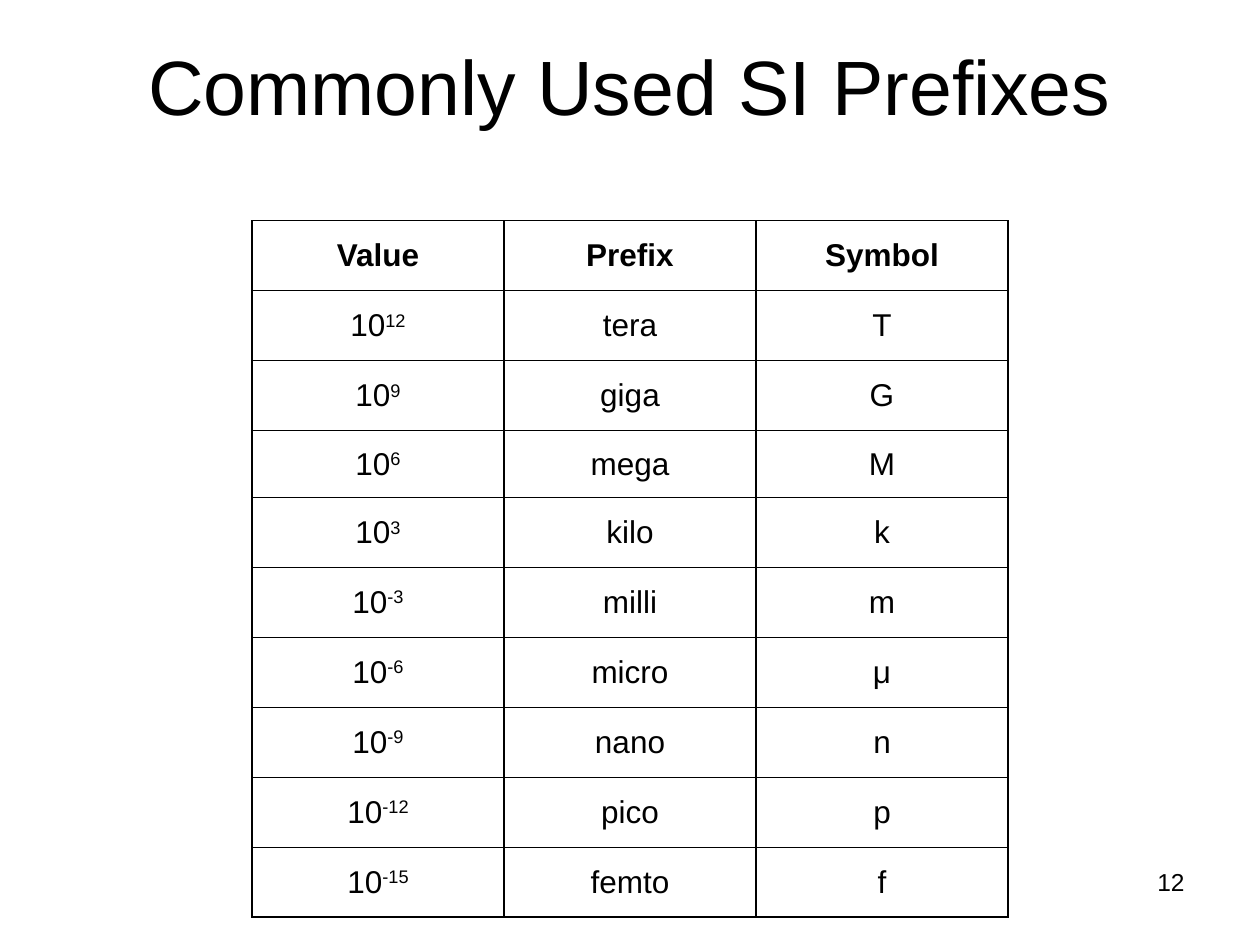
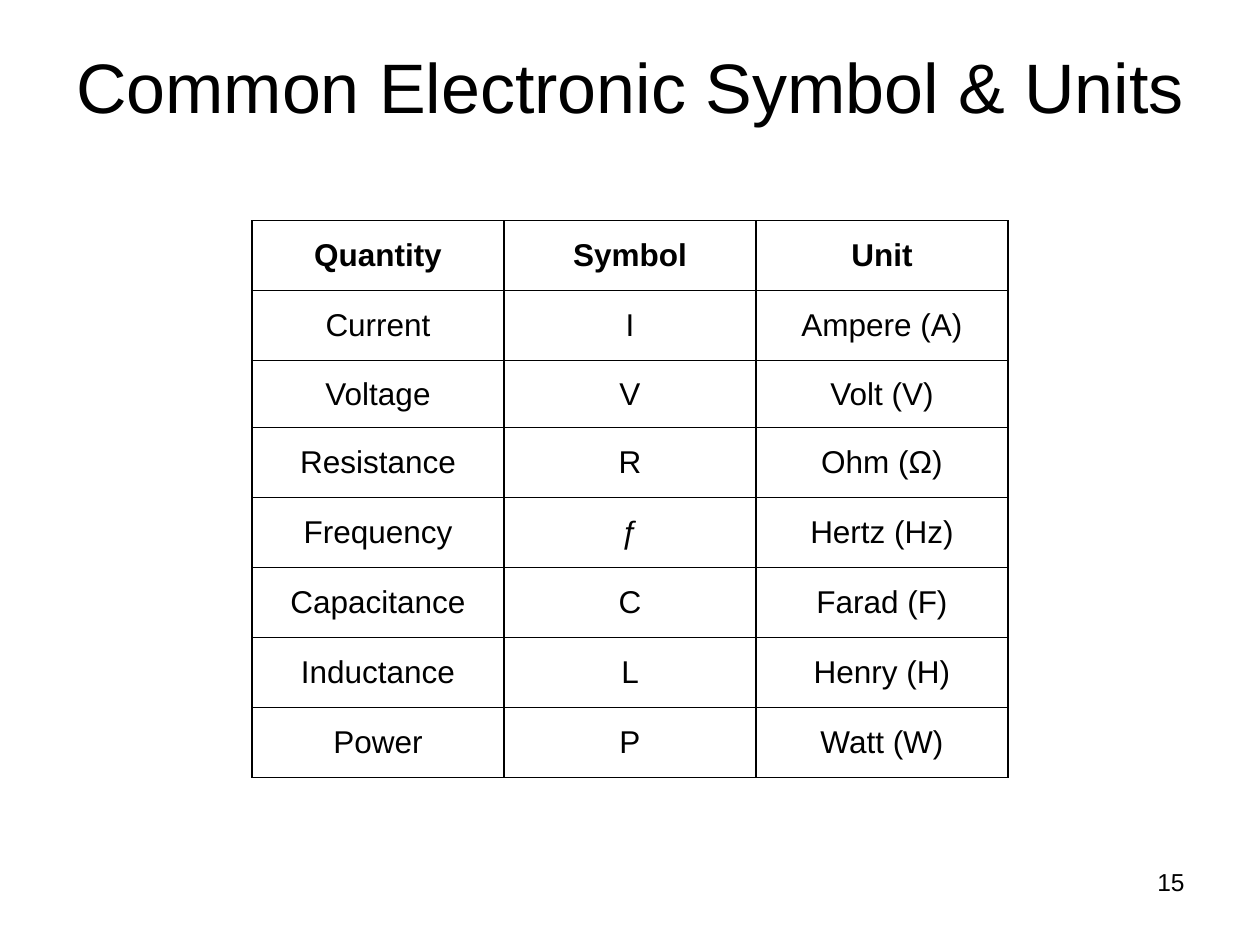
from dataclasses import dataclass

from lxml.etree import SubElement
from pptx import Presentation
from pptx.dml.color import RGBColor
from pptx.enum.text import MSO_ANCHOR, MSO_AUTO_SIZE, PP_ALIGN
from pptx.oxml.ns import qn
from pptx.util import Cm, Pt


@dataclass(frozen=True)
class Theme:
    font: str = "Arial"
    ink: RGBColor = RGBColor(0, 0, 0)
    cell_size: int = 18
    number_size: int = 14
    border: float = 1
    superscript: str = "30000"
    space_before: str = "20000"


theme = Theme()

# Each table row is written as three cells; "^" starts a superscript.
slides = [
    {
        "title": "Commonly Used SI Prefixes",
        "title_size": 44,
        "title_top": 0,
        "title_height": 3.4,
        "number": "12",
        "short_row": 3,
        "rows": [
            ("Value", "Prefix", "Symbol"),
            ("10^12", "tera", "T"),
            ("10^9", "giga", "G"),
            ("10^6", "mega", "M"),
            ("10^3", "kilo", "k"),
            ("10^-3", "milli", "m"),
            ("10^-6", "micro", "μ"),
            ("10^-9", "nano", "n"),
            ("10^-12", "pico", "p"),
            ("10^-15", "femto", "f"),
        ],
    },
    {
        "title": "Common Electronic Symbol & Units",
        "title_size": 40,
        "title_top": 0.13,
        "title_height": 3.17,
        "number": "15",
        "short_row": 2,
        "rows": [
            ("Quantity", "Symbol", "Unit"),
            ("Current", "I", "Ampere (A)"),
            ("Voltage", "V", "Volt (V)"),
            ("Resistance", "R", "Ohm (Ω)"),
            ("Frequency", "ƒ", "Hertz (Hz)"),
            ("Capacitance", "C", "Farad (F)"),
            ("Inductance", "L", "Henry (H)"),
            ("Power", "P", "Watt (W)"),
        ],
    },
]

COLUMN_WIDTH = 5.08
ROW_HEIGHT = 1.41
SHORT_ROW_HEIGHT = 1.35


def add_run(paragraph, text, size, bold=False):
    run = paragraph.add_run()
    run.text = text
    formats = {"name": theme.font, "size": Pt(size), "bold": bold}
    for name, value in formats.items():
        setattr(run.font, name, value)
    run.font.color.rgb = theme.ink
    return run


def format_cell(cell):
    """Draw the four borders, clear the fill and set the paragraph layout."""
    properties = cell._tc.get_or_add_tcPr()
    for side in ("a:lnL", "a:lnR", "a:lnT", "a:lnB"):
        line = SubElement(properties, qn(side), w=str(Pt(theme.border)))
        fill = SubElement(line, qn("a:solidFill"))
        SubElement(fill, qn("a:srgbClr"), val=str(theme.ink))
    cell.fill.background()
    cell.vertical_anchor = MSO_ANCHOR.MIDDLE
    paragraph = cell.text_frame.paragraphs[0]
    paragraph.alignment = PP_ALIGN.CENTER
    spacing = SubElement(paragraph._p.get_or_add_pPr(), qn("a:spcBef"))
    SubElement(spacing, qn("a:spcPct"), val=theme.space_before)


presentation = Presentation()
presentation.slide_width = Cm(25.4)
presentation.slide_height = Cm(19.05)
title_only_layout = presentation.slide_layouts[5]

for content in slides:
    slide = presentation.slides.add_slide(title_only_layout)

    title = slide.shapes.title
    title_place = {
        "left": Cm(0),
        "top": Cm(content["title_top"]),
        "width": presentation.slide_width,
        "height": Cm(content["title_height"]),
    }
    for name, value in title_place.items():
        setattr(title, name, value)
    title_format = {
        "auto_size": MSO_AUTO_SIZE.NONE,
        "vertical_anchor": MSO_ANCHOR.MIDDLE,
        "word_wrap": True,
    }
    for name, value in title_format.items():
        setattr(title.text_frame, name, value)
    paragraph = title.text_frame.paragraphs[0]
    paragraph.alignment = PP_ALIGN.CENTER
    add_run(paragraph, content["title"], content["title_size"])

    number_box = slide.shapes.add_textbox(Cm(18.2), Cm(17.35), Cm(5.93), Cm(1.32))
    number_box.text_frame.word_wrap = True
    paragraph = number_box.text_frame.paragraphs[0]
    paragraph.alignment = PP_ALIGN.RIGHT
    add_run(paragraph, content["number"], theme.number_size)

    rows = content["rows"]
    column_count = len(rows[0])
    heights = [ROW_HEIGHT] * len(rows)
    heights[content["short_row"]] = SHORT_ROW_HEIGHT
    table = slide.shapes.add_table(
        len(rows), column_count, Cm(5.08), Cm(4.45),
        Cm(COLUMN_WIDTH * column_count), Cm(sum(heights)),
    ).table
    table.horz_banding = False
    table.first_row = False
    for column in table.columns:
        column.width = Cm(COLUMN_WIDTH)

    for row_index, texts in enumerate(rows):
        table.rows[row_index].height = Cm(heights[row_index])
        for column_index, text in enumerate(texts):
            cell = table.cell(row_index, column_index)
            format_cell(cell)
            paragraph = cell.text_frame.paragraphs[0]
            base, _, exponent = text.partition("^")
            add_run(paragraph, base, theme.cell_size, bold=row_index == 0)
            if exponent:
                run = add_run(paragraph, exponent, theme.cell_size)
                run._r.get_or_add_rPr().set("baseline", theme.superscript)

presentation.save("out.pptx")
